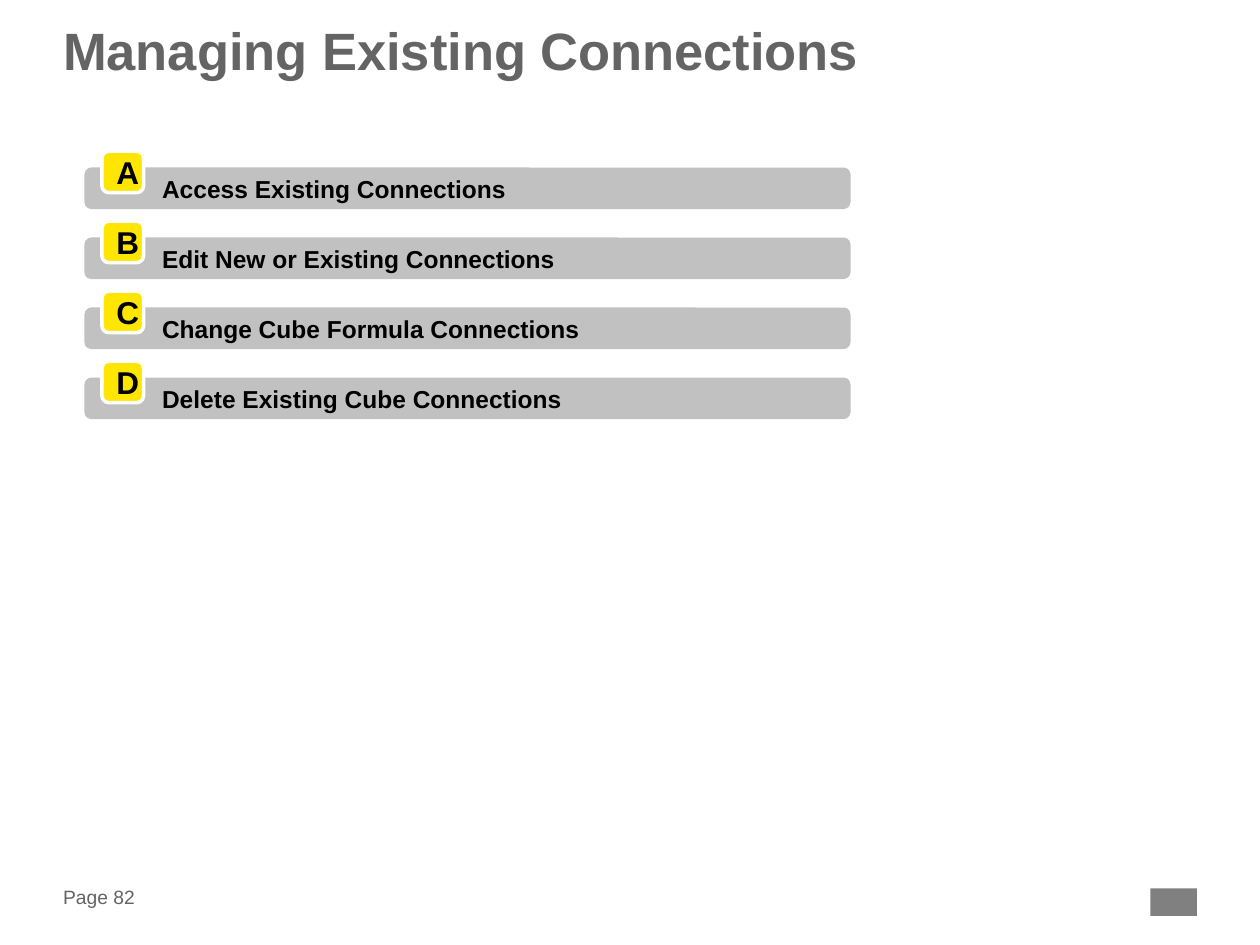
from pptx import Presentation
from pptx.dml.color import RGBColor
from pptx.enum.shapes import MSO_SHAPE
from pptx.enum.text import MSO_ANCHOR, MSO_AUTO_SIZE, PP_ALIGN
from pptx.util import Inches, Pt

TITLE = "Managing Existing Connections"
PAGE = "Page 82"
STEPS = [
    ("A", "Access Existing Connections"),
    ("B", "Edit New or Existing Connections"),
    ("C", "Change Cube Formula Connections"),
    ("D", "Delete Existing Cube Connections"),
]

THEME = {
    "font": "Arial",
    "bar": RGBColor(0xC1, 0xC1, 0xC1),
    "badge": RGBColor(0xFF, 0xE6, 0x00),
    "edge": RGBColor(0xFF, 0xFF, 0xFF),
    "mark": RGBColor(0x80, 0x80, 0x80),
    "ink": RGBColor(0, 0, 0),
    "grey": RGBColor(0x64, 0x64, 0x64),
    "title": Pt(30), "letter": Pt(18), "label": Pt(14), "page": Pt(11),
}

TOP, PITCH, SIDE = 1.33, 5 / 9, 0.33
RISE = 0.13  # how far a badge stands above its bar
FLAT = dict(margin_left=0, margin_top=0, margin_right=0, margin_bottom=0)


def put(item, values):
    for name, value in values.items():
        setattr(item, name, value)


def place(shape, *box):
    put(shape, dict(zip(("left", "top", "width", "height"), map(Inches, box))))


def write(shape, text, size, ink, bold=True, align=PP_ALIGN.LEFT, **frame):
    body = shape.text_frame
    put(body, {"word_wrap": True, "vertical_anchor": MSO_ANCHOR.MIDDLE, **frame})
    para = body.paragraphs[0]
    para.alignment = align
    run = para.add_run()
    run.text = text
    put(run.font, dict(name=THEME["font"], size=THEME[size], bold=bold))
    run.font.color.rgb = THEME[ink]
    return para


def block(slide, kind, fill, *box, edge=None):
    shape = slide.shapes.add_shape(kind, *map(Inches, box))
    shape.shadow.inherit = False
    shape.fill.solid()
    shape.fill.fore_color.rgb = THEME[fill]
    if edge:
        shape.line.color.rgb = THEME[edge]
        shape.line.width = Pt(2)
    else:
        shape.line.fill.background()
    return shape


def main():
    deck = Presentation()
    put(deck, dict(slide_width=Inches(10), slide_height=Inches(7.5)))
    slide = deck.slides.add_slide(deck.slide_layouts[5])

    title = slide.shapes.title
    place(title, 0.5, 0.22, 9, 0.94)
    para = write(title, TITLE, "title", "grey", **FLAT | dict(
        vertical_anchor=MSO_ANCHOR.TOP, auto_size=MSO_AUTO_SIZE.NONE))
    para.line_spacing = 0.85

    for row, (letter, label) in enumerate(STEPS):
        top = TOP + row * PITCH
        bar = block(slide, MSO_SHAPE.ROUNDED_RECTANGLE, "bar",
                    0.67, top, 6.08, SIDE)
        write(bar, label, "label", "ink", margin_left=Inches(0.6))
        badge = block(slide, MSO_SHAPE.ROUNDED_RECTANGLE, "badge",
                      0.81, top - RISE, SIDE, SIDE, edge="edge")
        write(badge, letter, "letter", "ink", align=PP_ALIGN.CENTER)

    page = slide.shapes.add_textbox(*map(Inches, (0.5, 7.01, 0.79, 0.22)))
    write(page, PAGE, "page", "grey", bold=False, **FLAT)
    block(slide, MSO_SHAPE.RECTANGLE, "mark", 9.13, 7.05, 0.37, 0.22)

    deck.save("out.pptx")


if __name__ == "__main__":
    main()
